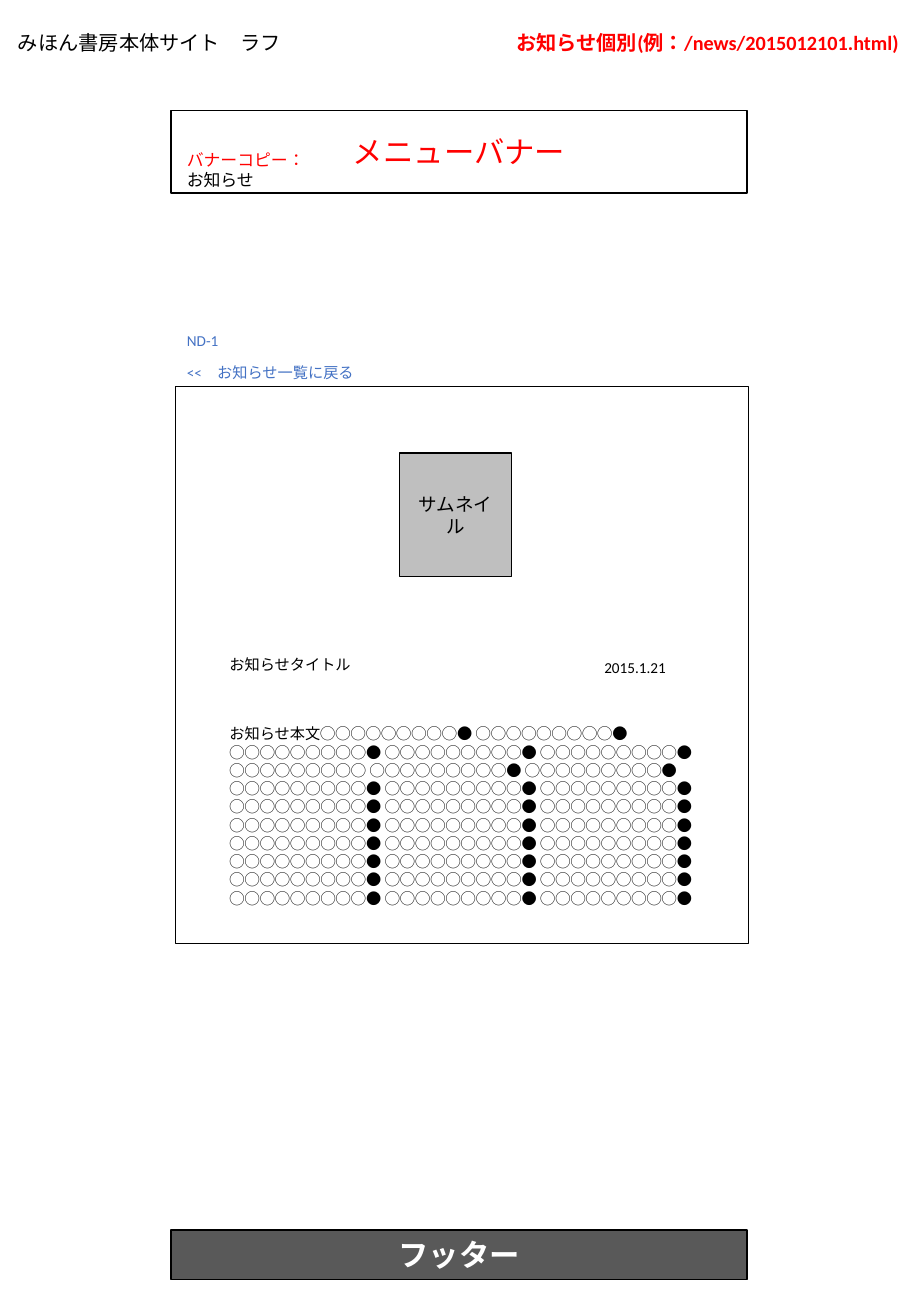
import pptx
import pptx.util
import pptx.dml.color
import pptx.enum.lang
import pptx.enum.shapes
import pptx.enum.text

Inches = pptx.util.Inches
Pt = pptx.util.Pt
PP_ALIGN = pptx.enum.text.PP_ALIGN
MSO_ANCHOR = pptx.enum.text.MSO_ANCHOR

COLORS = {
    "black": "000000",
    "white": "FFFFFF",
    "red": "FF0000",
    "link": "4472C4",
    "thumbnail": "BFBFBF",
    "footer": "595959",
}
FONT = "Calibri"
SENTENCE = "◯" * 9
BODY = "お知らせ本文" + " ".join([SENTENCE + "●"] * 5 + [SENTENCE] + [SENTENCE + "●"] * 23)

LEFT, CENTER, RIGHT = PP_ALIGN.LEFT, PP_ALIGN.CENTER, PP_ALIGN.RIGHT
BANNER_X, BANNER_W = 1.41, 4.74
PANEL_X, ARTICLE_X, LABEL_W, LABEL_H = 1.44, 1.79, 2.31, 0.25

BOXES = [
    ((BANNER_X, 0.91, BANNER_W, 0.68), "white", 1, "メニューバナー", 18, "red", False),
    ((PANEL_X, 3.18, 4.72, 4.59), "white", 0.25, "", 9, "black", False),
    ((3.29, 3.73, 0.92, 1.02), "thumbnail", 1, "サムネイル", 11, "black", False),
    ((BANNER_X, 10.13, BANNER_W, 0.41), "footer", 1, "フッター", 18, "white", True),
]

LABELS = [
    ((0.05, 0.2, 2.5, 0.3), [("みほん書房本体サイト　ラフ", "black")], 12, LEFT, False, True),
    ((4.03, 0.2, 3.47, 0.3), [("お知らせ個別(例：/news/2015012101.html)", "red")], 12, RIGHT, True, False),
    ((PANEL_X, 1.18, 4.88, 0.44), [("バナーコピー：", "red"), ("お知らせ", "black")], 10, LEFT, False, True),
    ((PANEL_X, 2.68, LABEL_W, LABEL_H), [("ND-1", "link")], 9, LEFT, False, True),
    ((PANEL_X, 2.94, LABEL_W, LABEL_H), [("<<　お知らせ一覧に戻る", "link")], 9, LEFT, False, True),
    ((ARTICLE_X, 5.35, LABEL_W, LABEL_H), [("お知らせタイトル", "black")], 9, LEFT, False, True),
    ((4.48, 5.37, 1.1, LABEL_H), [("2015.1.21", "black")], 9, RIGHT, False, True),
    ((ARTICLE_X, 5.92, 4.1, 1.61), [(BODY, "black")], 9, LEFT, False, True),
]


def rgb(name):
    return pptx.dml.color.RGBColor.from_string(COLORS[name])


def write(tf, lines, size, align, bold):
    tf.text = "\n".join(text for text, color in lines)
    for p, (text, color) in zip(tf.paragraphs, lines):
        p.alignment = align
        for r in p.runs:
            r.font.name = FONT
            r.font.size = Pt(size)
            r.font.bold = bold
            r.font.language_id = pptx.enum.lang.MSO_LANGUAGE_ID.JAPANESE
            r.font.color.rgb = rgb(color)


def add_box(s, place, fill, line, text, size, color, bold):
    sp = s.shapes.add_shape(pptx.enum.shapes.MSO_SHAPE.RECTANGLE, *map(Inches, place))
    sp.shadow.inherit = False
    sp.fill.solid()
    sp.fill.fore_color.rgb = rgb(fill)
    sp.line.color.rgb = rgb("black")
    sp.line.width = Pt(line)
    sp.text_frame.vertical_anchor = MSO_ANCHOR.MIDDLE
    if text:
        write(sp.text_frame, [(text, color)], size, CENTER, bold)


def add_label(s, place, lines, size, align, bold, wrap):
    tf = s.shapes.add_textbox(*map(Inches, place)).text_frame
    tf.word_wrap = wrap
    tf.auto_size = pptx.enum.text.MSO_AUTO_SIZE.SHAPE_TO_FIT_TEXT
    write(tf, lines, size, align, bold)


def main():
    prs = pptx.Presentation()
    prs.slide_width, prs.slide_height = Inches(7.5), Inches(10.84)
    s = prs.slides.add_slide(prs.slide_layouts[6])
    for box in BOXES:
        add_box(s, *box)
    for label in LABELS:
        add_label(s, *label)
    prs.save("out.pptx")


if __name__ == "__main__":
    main()
